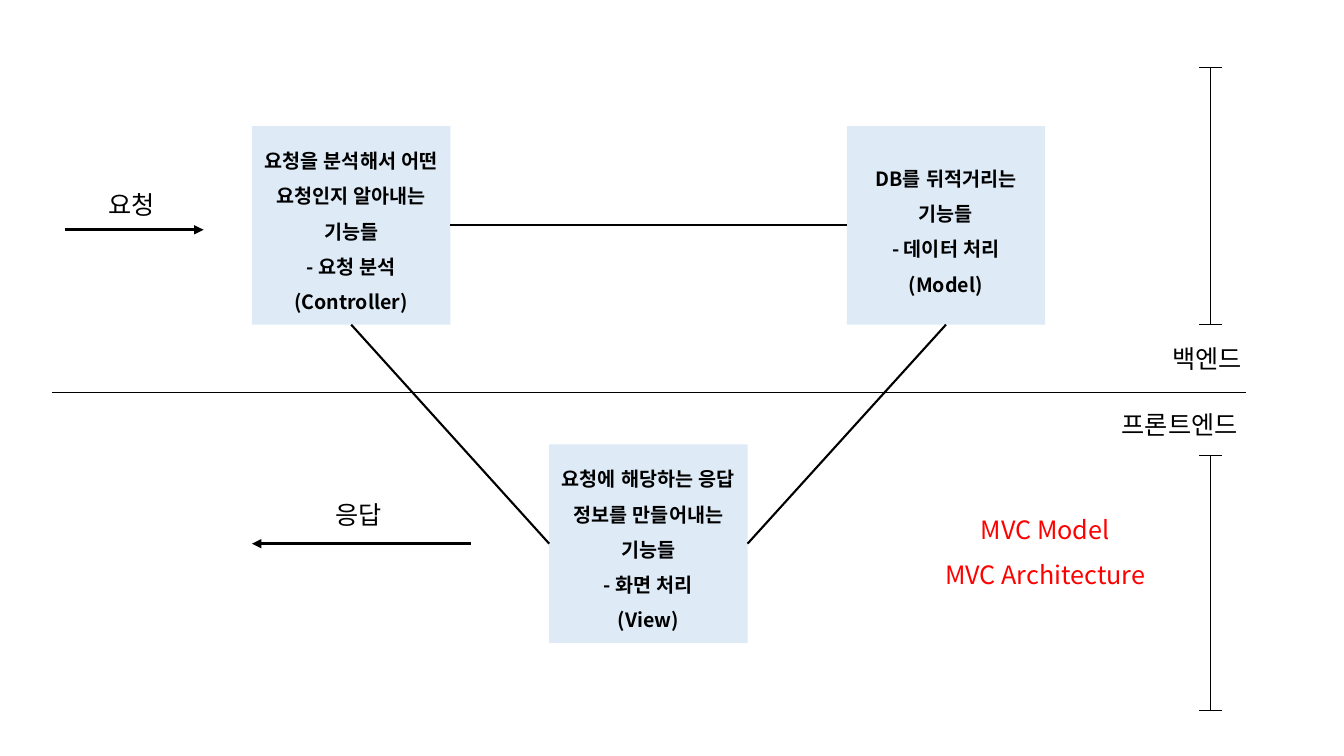
from typing import NamedTuple

from lxml import etree
from pptx import Presentation
from pptx.dml.color import RGBColor
from pptx.enum.lang import MSO_LANGUAGE_ID
from pptx.enum.shapes import MSO_CONNECTOR, MSO_SHAPE
from pptx.enum.text import MSO_ANCHOR, MSO_AUTO_SIZE, PP_ALIGN
from pptx.oxml.ns import qn
from pptx.shapes.autoshape import Shape
from pptx.shapes.connector import Connector
from pptx.text.text import TextFrame
from pptx.util import Cm, Pt

FONT = "Noto Sans CJK KR"
BLACK, RED, PALE_BLUE = "000000", "FF0000", "DEEBF7"
BOX_SIZE = 5.0
TOP, LEFT, BOTTOM, RIGHT = range(4)  # connection sites of a rectangle


class Component(NamedTuple):
    left: float
    top: float
    lines: list[str]


class Label(NamedTuple):
    text: str
    left: float
    top: float
    width: float


class Link(NamedTuple):
    start: str
    start_site: int
    end: str
    end_site: int


class Line(NamedTuple):
    x1: float
    y1: float
    x2: float
    y2: float
    weight: float = 0.5
    arrow: bool = False


# Content, lengths in centimetres
COMPONENTS = {
    "controller": Component(6.35, 3.18, [
        "요청을 분석해서 어떤 요청인지 알아내는 기능들", "- 요청 분석", "(Controller)"]),
    "model": Component(21.34, 3.18, [
        "DB를 뒤적거리는", "기능들", "- 데이터 처리", "(Model)"]),
    "view": Component(13.84, 11.2, [
        "요청에 해당하는 응답 정보를 만들어내는 기능들", "- 화면 처리", "(View)"]),
}
LINKS = [
    Link("controller", RIGHT, "model", LEFT),
    Link("model", BOTTOM, "view", RIGHT),
    Link("controller", BOTTOM, "view", LEFT),
]
LABELS = [
    Label("요청", 2.49, 4.65, 1.8),
    Label("응답", 8.2, 12.47, 1.8),
    Label("백엔드", 29.29, 8.53, 2.44),
    Label("프론트엔드", 28.02, 10.19, 3.71),
]
ARROWS = [
    Line(1.63, 5.79, 5.13, 5.79, 2.25, True),
    Line(11.86, 13.7, 6.35, 13.7, 2.25, True),
]
DIVIDER = Line(1.3, 9.88, 31.39, 9.88)
RANGE_X, CAP_HALF = 30.51, 0.29
RANGES = [(1.7, 8.18), (11.48, 17.91)]  # back end, front end

prs = Presentation()
prs.slide_width, prs.slide_height = Cm(33.87), Cm(19.05)
slide = prs.slides.add_slide(prs.slide_layouts[6])


def rgb(color: str) -> RGBColor:
    return RGBColor.from_string(color)


def write(frame: TextFrame, lines: list[str], size: float, color: str = BLACK,
          bold: bool = False, align: PP_ALIGN = PP_ALIGN.LEFT,
          spacing: float = 1.0) -> None:
    for index, text in enumerate(lines):
        paragraph = frame.paragraphs[0] if index == 0 else frame.add_paragraph()
        paragraph.alignment, paragraph.line_spacing = align, spacing
        run = paragraph.add_run()
        run.text = text
        font = run.font
        font.name, font.size, font.bold = FONT, Pt(size), bold
        font.color.rgb = rgb(color)
        font.language_id = MSO_LANGUAGE_ID.KOREAN
        east_asian = etree.SubElement(run._r.get_or_add_rPr(), qn("a:ea"))
        east_asian.set("typeface", FONT)


def add_panel(kind: MSO_SHAPE, left: float, top: float, width: float,
              height: float, fill: str | None = None) -> Shape:
    panel = slide.shapes.add_shape(kind, Cm(left), Cm(top), Cm(width), Cm(height))
    panel.shadow.inherit = False
    panel.line.fill.background()
    if fill:
        panel.fill.solid()
        panel.fill.fore_color.rgb = rgb(fill)
    else:
        panel.fill.background()
    panel.text_frame.word_wrap = True
    panel.text_frame.vertical_anchor = MSO_ANCHOR.MIDDLE
    return panel


def add_line(line: Line) -> Connector:
    connector = slide.shapes.add_connector(
        MSO_CONNECTOR.STRAIGHT, Cm(line.x1), Cm(line.y1), Cm(line.x2), Cm(line.y2))
    connector.line.width = Pt(line.weight)
    connector.line.color.rgb = rgb(BLACK)
    if line.arrow:
        etree.SubElement(connector.line._get_or_add_ln(), qn("a:tailEnd"),
                         type="triangle")
    etree.SubElement(connector._element.spPr, qn("a:effectLst"))
    return connector


def add_label(label: Label) -> None:
    box = slide.shapes.add_textbox(
        Cm(label.left), Cm(label.top), Cm(label.width), Cm(1.03))
    box.text_frame.word_wrap = False
    box.text_frame.auto_size = MSO_AUTO_SIZE.SHAPE_TO_FIT_TEXT
    write(box.text_frame, [label.text], 18)


# Model, view and controller boxes
boxes: dict[str, Shape] = {}
for name, part in COMPONENTS.items():
    boxes[name] = add_panel(MSO_SHAPE.RECTANGLE, part.left, part.top,
                            BOX_SIZE, BOX_SIZE, PALE_BLUE)
    write(boxes[name].text_frame, part.lines, 14, bold=True,
          align=PP_ALIGN.CENTER, spacing=1.5)

# Request and response arrows
for arrow in ARROWS:
    add_line(arrow)

# Links glued to the boxes
for link in LINKS:
    connector = add_line(Line(0, 0, 1, 1, 1.5))
    connector.begin_connect(boxes[link.start], link.start_site)
    connector.end_connect(boxes[link.end], link.end_site)

# Labels and the red heading
for label in LABELS:
    add_label(label)
heading = add_panel(MSO_SHAPE.ROUNDED_RECTANGLE, 22.28, 12.4, 8.13, 2.64)
write(heading.text_frame, ["MVC Model", "MVC Architecture"], 18, RED,
      align=PP_ALIGN.CENTER, spacing=1.5)

# Divider and the capped range lines
add_line(DIVIDER)
for top, bottom in RANGES:
    add_line(Line(RANGE_X, top, RANGE_X, bottom))
    for y in (top, bottom):
        add_line(Line(RANGE_X - CAP_HALF, y, RANGE_X + CAP_HALF, y))

prs.save("out.pptx")
